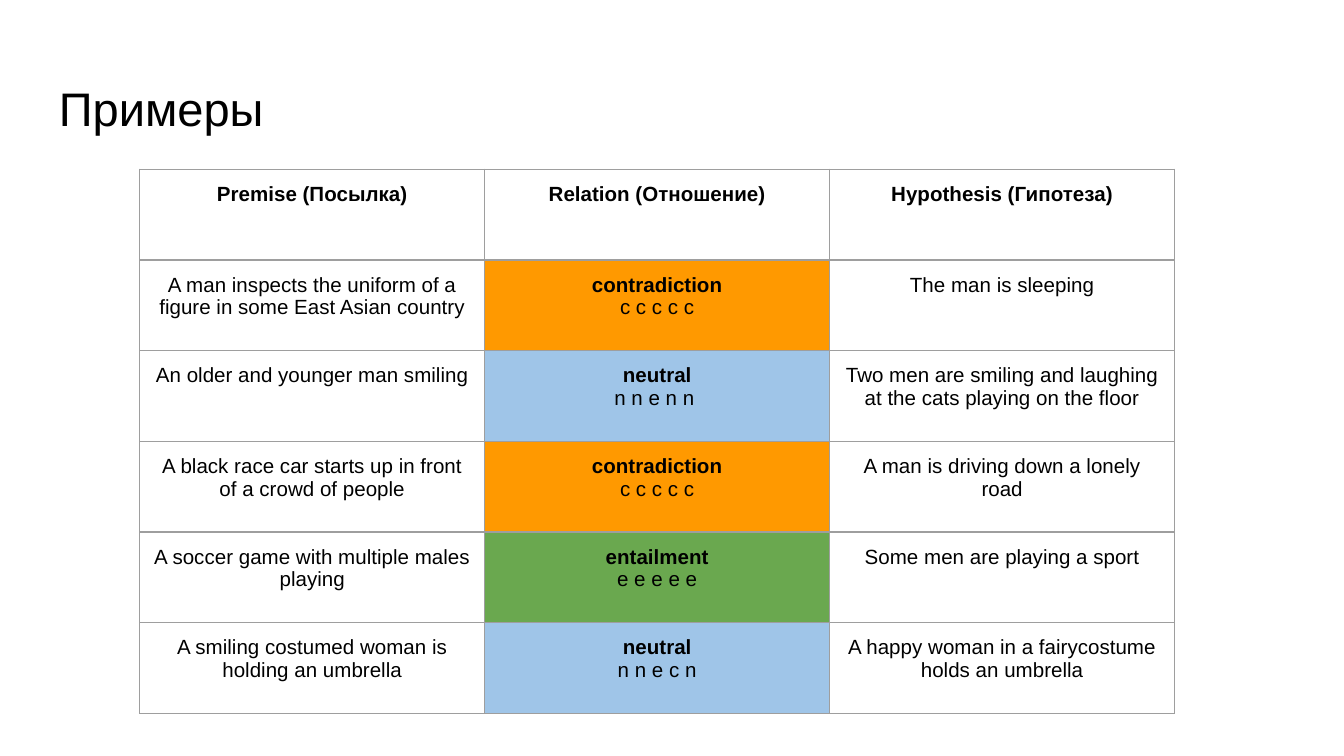
from dataclasses import dataclass

from lxml import etree
from pptx import Presentation
from pptx.dml.color import RGBColor
from pptx.enum import text as t
from pptx.oxml import ns
from pptx.table import _Cell
from pptx.text.text import TextFrame
from pptx.util import Inches, Pt

FONT = "Arial"
BLACK = "000000"
GRID = "9E9E9E"
RELATION_FILLS = {
    "contradiction": "FF9900",
    "neutral": "9FC5E8",
    "entailment": "6AA84F",
}


@dataclass(frozen=True)
class Example:
    premise: str
    relation: str
    votes: str
    hypothesis: str


HEADINGS = ("Premise (Посылка)", "Relation (Отношение)", "Hypothesis (Гипотеза)")
EXAMPLES = (
    Example("A man inspects the uniform of a figure in some East Asian country",
            "contradiction", "c c c c c", "The man is sleeping"),
    Example("An older and younger man smiling", "neutral", "n n e n n ",
            "Two men are smiling and laughing at the cats playing on the floor"),
    Example("A black race car starts up in front of a crowd of people",
            "contradiction", "c c c c c", "A man is driving down a lonely road"),
    Example("A soccer game with multiple males playing",
            "entailment", "e e e e e", "Some men are playing a sport"),
    Example("A smiling costumed woman is holding an umbrella", "neutral", "n n e c n",
            "A happy woman in a fairycostume holds an umbrella"),
)


def color(value: str) -> RGBColor:
    return RGBColor.from_string(value)


def write(frame: TextFrame, line: str, *, size: float = 11, bold: bool = False,
          align: t.PP_ALIGN = t.PP_ALIGN.CENTER) -> None:
    """Fill the first paragraph, or add one below the text already there."""
    paragraph = frame.add_paragraph() if frame.text else frame.paragraphs[0]
    paragraph.alignment = align
    run = paragraph.add_run()
    run.text = line
    run.font.name = FONT
    run.font.size = Pt(size)
    run.font.bold = bold
    run.font.color.rgb = color(BLACK)


def set_margins(area: TextFrame | _Cell) -> None:
    area.margin_left = area.margin_right = Inches(0.1)
    area.margin_top = area.margin_bottom = Inches(0.1)


def style_cell(cell: _Cell, fill: str | None = None) -> None:
    """Set the margins, the grid lines and the fill of a cell."""
    set_margins(cell)
    properties = cell._tc.get_or_add_tcPr()
    for side in ("a:lnL", "a:lnR", "a:lnT", "a:lnB"):
        border = etree.SubElement(properties, ns.qn(side), w=str(Pt(0.75)))
        solid = etree.SubElement(border, ns.qn("a:solidFill"))
        etree.SubElement(solid, ns.qn("a:srgbClr"), val=GRID)
    if fill:
        cell.fill.solid()
        cell.fill.fore_color.rgb = color(fill)
    else:
        cell.fill.background()


def main() -> None:
    # Widescreen slide, 16:9
    prs = Presentation()
    prs.slide_width = Inches(10)
    prs.slide_height = Inches(10 * 9 / 16)
    slide = prs.slides.add_slide(prs.slide_layouts[6])

    # Title
    title = slide.shapes.add_textbox(
        Inches(0.34), Inches(0.49), Inches(9.32), Inches(0.3)).text_frame
    title.word_wrap = True
    set_margins(title)
    write(title, "Примеры", size=25.2, align=t.PP_ALIGN.LEFT)

    # Table with equal rows and columns
    examples = slide.shapes.add_table(
        len(EXAMPLES) + 1, len(HEADINGS),
        Inches(1.04), Inches(1.26), Inches(7.7), Inches(4.05)).table
    examples.first_row = examples.horz_banding = False

    # Headings
    for column, heading in enumerate(HEADINGS):
        cell = examples.cell(0, column)
        style_cell(cell)
        write(cell.text_frame, heading, bold=True)

    # Sentence pairs with their relation between them
    for row, example in enumerate(EXAMPLES, start=1):
        premise, relation, hypothesis = (
            examples.cell(row, column) for column in range(len(HEADINGS)))
        style_cell(premise)
        write(premise.text_frame, example.premise)
        style_cell(relation, RELATION_FILLS[example.relation])
        write(relation.text_frame, example.relation, bold=True)
        write(relation.text_frame, example.votes)
        style_cell(hypothesis)
        write(hypothesis.text_frame, example.hypothesis)

    prs.save("out.pptx")


if __name__ == "__main__":
    main()
